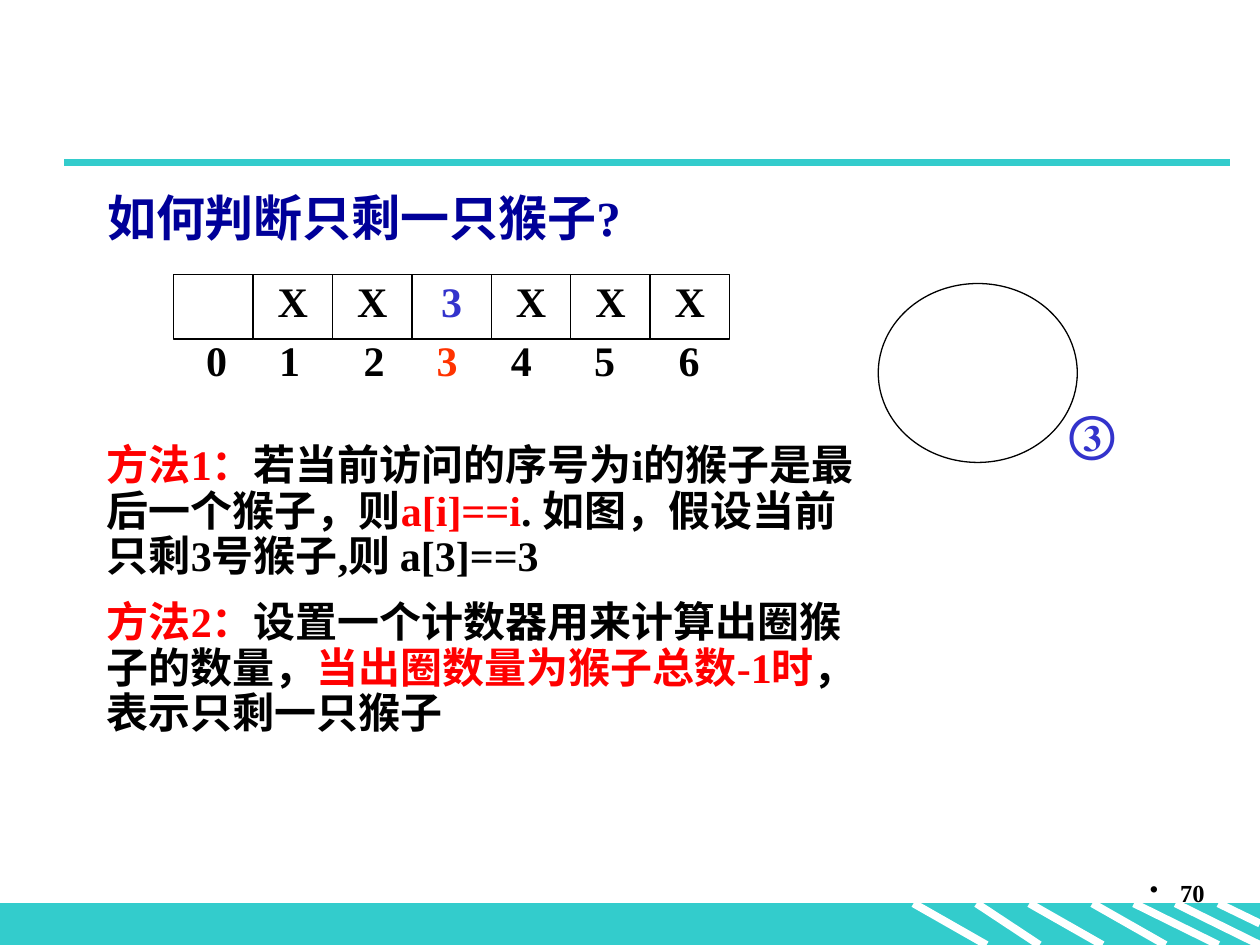
from lxml import etree
from pptx import Presentation
from pptx.dml.color import RGBColor
from pptx.enum.shapes import MSO_CONNECTOR, MSO_SHAPE
from pptx.enum.text import MSO_ANCHOR, PP_ALIGN
from pptx.oxml.ns import qn
from pptx.util import Inches, Pt

RECT, OVAL = MSO_SHAPE.RECTANGLE, MSO_SHAPE.OVAL
STRAIGHT, TOP = MSO_CONNECTOR.STRAIGHT, MSO_ANCHOR.TOP
LEFT, CENTER, RIGHT = PP_ALIGN.LEFT, PP_ALIGN.CENTER, PP_ALIGN.RIGHT

TEAL = RGBColor(0x33, 0xCC, 0xCC)
WHITE = RGBColor(0xFF, 0xFF, 0xFF)
BLACK = RGBColor(0, 0, 0)
NAVY = RGBColor(0, 0, 0x99)
BLUE = RGBColor(0x33, 0x33, 0xCC)
RED = RGBColor(0xFF, 0, 0)
ORANGE = RGBColor(0xFF, 0x33, 0)

W, H = 10, 7.5
BAND_TOP = 7.17
GRID_X, GRID_Y, CELL_W, CELL_H = 1.38, 2.18, 0.63, 0.51
STRIPES = [(7.25, 7.83, H), (7.75, 8.25, H), (8.17, 8.75, H), (8.67, 9.25, H),
           (9, 9.67, H), (9.33, W, H), (9.67, W, 7.33)]
CELLS = ["", "X", "X", "3", "X", "X", "X"]
INDEX_TABS = [0.24, 0.82, 1.49, 2.07, 2.66, 3.32, 3.99]
METHODS = [
    [("方法1：", RED), ("若当前访问的序号为i的猴子是最后一个猴子，则", BLACK),
     ("a[i]==i", RED), (". 如图，假设当前只剩3号猴子,则 a[3]==3", BLACK)],
    [("方法2：", RED), ("设置一个计数器用来计算出圈猴子的数量，", BLACK),
     ("当出圈数量为猴子总数-1时", RED), ("，表示只剩一只猴子", BLACK)],
]


def write(p, runs, size, **fmt):
    for name, value in fmt.items():
        setattr(p, name, value)
    for text, color in runs:
        r = p.add_run()
        r.text = text
        font = {"name": "Times New Roman", "size": Pt(size), "bold": True}
        for name, value in font.items():
            setattr(r.font, name, value)
        r.font.color.rgb = color


def add_text(s, box, wrap=True):
    tf = s.shapes.add_textbox(*map(Inches, box)).text_frame
    tf.word_wrap = wrap
    return tf


def add_shape(s, kind, box, fill=None, line=BLACK):
    sp = s.shapes.add_shape(kind, *map(Inches, box))
    sp.shadow.inherit = False
    if fill is None:
        sp.fill.background()
    else:
        sp.fill.solid()
        sp.fill.fore_color.rgb = fill
    sp.line.color.rgb = line
    sp.line.width = Pt(0.75)
    return sp


def add_line(s, x1, y1, x2, y2, color):
    c = s.shapes.add_connector(STRAIGHT, *map(Inches, (x1, y1, x2, y2)))
    c.line.color.rgb = color
    c.line.width = Pt(4.5)
    etree.SubElement(c._element.spPr, qn("a:effectLst"))


def add_frame(s):
    add_shape(s, RECT, (0, BAND_TOP, W, H - BAND_TOP), TEAL, TEAL)
    for x1, x2, y2 in STRIPES:
        add_line(s, x1, BAND_TOP, x2, y2, WHITE)
    add_line(s, 0.51, 1.29, 9.76, 1.29, TEAL)


def add_page_number(s):
    p = add_text(s, (7.58, 6.92, 2.08, 0.5)).paragraphs[0]
    pPr = p._p.get_or_add_pPr()
    pPr.set("marL", str(Inches(0.24)))
    pPr.set("indent", str(-Inches(0.24)))
    etree.SubElement(pPr, qn("a:buChar")).set("char", "•")
    write(p, [("70", BLACK)], 14, alignment=RIGHT)


def add_heading(s):
    title = s.shapes.title
    box = {"left": 0.75, "top": 1.44, "width": 8.5, "height": 5.04}
    for name, value in box.items():
        setattr(title, name, Inches(value))
    tf = title.text_frame
    tf.vertical_anchor = TOP
    write(tf.paragraphs[0], [("如何判断只剩一只猴子?", NAVY)], 28, alignment=LEFT)


def add_array(s):
    # Cells in one row
    for i, text in enumerate(CELLS):
        sp = add_shape(s, RECT, (GRID_X + i * CELL_W, GRID_Y, CELL_W, CELL_H))
        if text:
            tf = sp.text_frame
            tf.vertical_anchor = TOP
            write(tf.paragraphs[0], [(text, BLUE if text == "3" else BLACK)], 24,
                  alignment=CENTER, line_spacing=0.9)
    # Index labels on centred tab stops
    p = add_text(s, (GRID_X, 2.65, 4.57, 0.5)).paragraphs[0]
    tabs = etree.SubElement(p._p.get_or_add_pPr(), qn("a:tabLst"))
    for pos in INDEX_TABS:
        tab = etree.SubElement(tabs, qn("a:tab"))
        tab.set("pos", str(Inches(pos)))
        tab.set("algn", "ctr")
    runs = [(f"\t{i}", ORANGE if i == 3 else BLACK) for i in range(len(CELLS))]
    write(p, runs, 24, line_spacing=0.9)


def add_methods(s):
    tf = add_text(s, (0.75, 3.48, 6.14, 2.48))
    for i, runs in enumerate(METHODS):
        p = tf.add_paragraph() if i else tf.paragraphs[0]
        write(p, runs, 24, line_spacing=0.9, space_before=Pt(12 * i))


def add_circle(s):
    add_shape(s, OVAL, (6.97, 2.25, 1.58, 1.42))
    tf = add_text(s, (8.39, 3.2, 0.59, 0.57), wrap=False)
    write(tf.paragraphs[0], [("③", BLUE)], 28, line_spacing=0.9)


def main():
    prs = Presentation()
    prs.slide_width, prs.slide_height = Inches(W), Inches(H)
    s = prs.slides.add_slide(prs.slide_layouts[5])
    add_frame(s)
    add_page_number(s)
    add_heading(s)
    add_methods(s)
    add_circle(s)
    add_array(s)
    prs.save("out.pptx")


if __name__ == "__main__":
    main()
